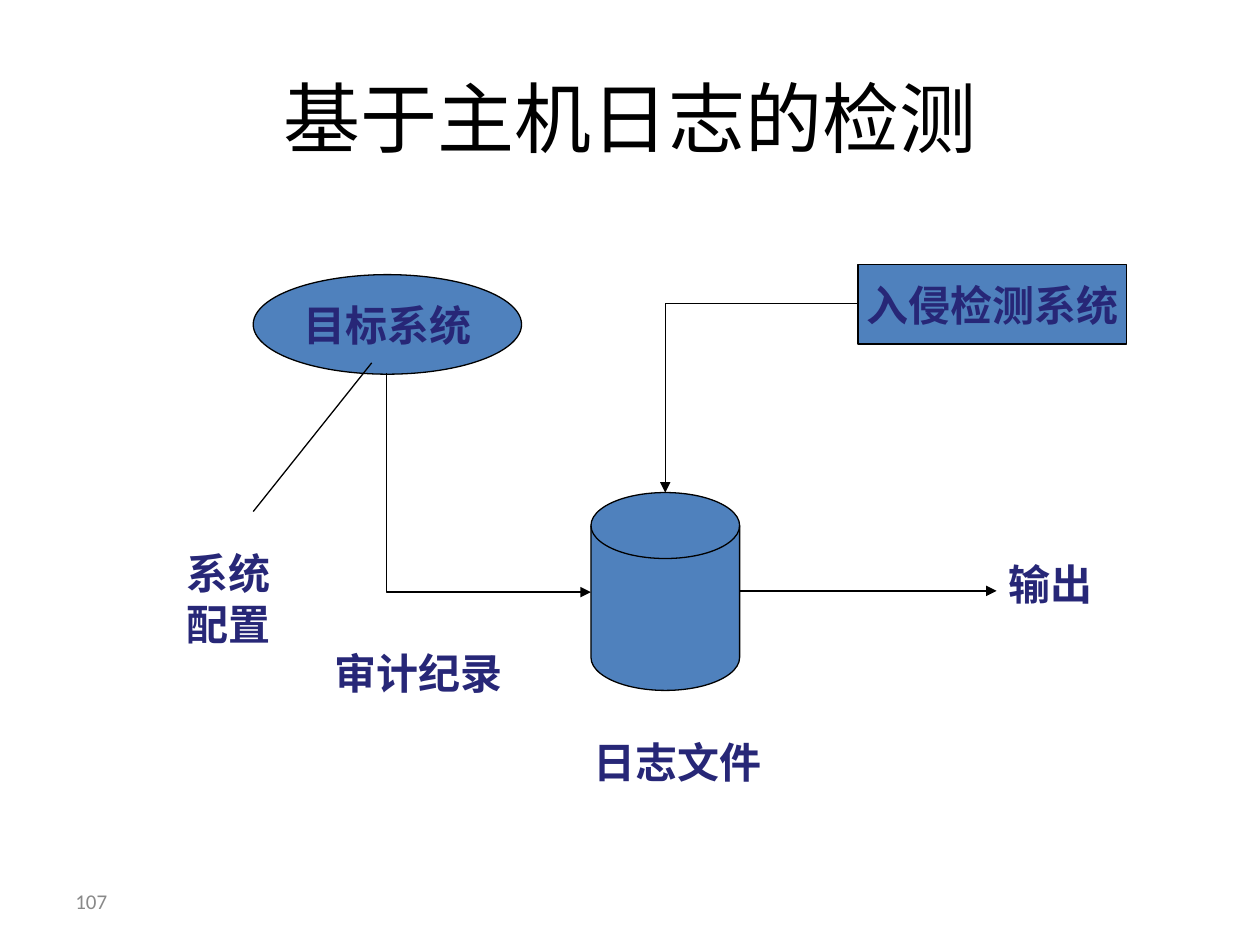
from lxml import etree
from pptx import Presentation
from pptx.dml.color import RGBColor
from pptx.enum.shapes import MSO_CONNECTOR, MSO_SHAPE
from pptx.enum.text import MSO_ANCHOR, MSO_AUTO_SIZE, PP_ALIGN
from pptx.oxml.ns import qn
from pptx.util import Inches, Pt

ELLIPSE, RECTANGLE = MSO_SHAPE.OVAL, MSO_SHAPE.RECTANGLE
DISK = MSO_SHAPE.FLOWCHART_MAGNETIC_DISK
STRAIGHT, ELBOW = MSO_CONNECTOR.STRAIGHT, MSO_CONNECTOR.ELBOW
MIDDLE, TOP = MSO_ANCHOR.MIDDLE, MSO_ANCHOR.TOP
LEFT, CENTER = PP_ALIGN.LEFT, PP_ALIGN.CENTER
GROW = MSO_AUTO_SIZE.SHAPE_TO_FIT_TEXT
TITLE_ONLY = 5


def color(hex_string):
    return RGBColor.from_string(hex_string)


class DiagramSlide:
    """Holds the style and the slide being drawn."""

    heading_font, label_font = "Calibri", "Times New Roman"
    black, gray, navy, blue = "000000", "898989", "272777", "4F81BD"
    line_width = Pt(0.75)

    def __init__(self, deck):
        self.slide = deck.slides.add_slide(deck.slide_layouts[TITLE_ONLY])
        self.shapes = self.slide.shapes

    def set_text(self, shape, text, size, font, ink, bold=False,
                 align=LEFT, anchor=TOP, space_before=0):
        frame = shape.text_frame
        frame.text = text
        frame.vertical_anchor = anchor
        para = frame.paragraphs[0]
        para.alignment = align
        para.space_before = Pt(space_before)
        span = para.runs[0].font
        span.name, span.size, span.bold = font, Pt(size), bold
        span.color.rgb = color(ink)

    def title(self, text, left, top, width, height):
        box = self.shapes.title
        box.left, box.top = Inches(left), Inches(top)
        box.width, box.height = Inches(width), Inches(height)
        self.set_text(box, text, 44, self.heading_font, self.black,
                      align=CENTER, anchor=MIDDLE)

    def text_box(self, left, top, width, height):
        box = self.shapes.add_textbox(Inches(left), Inches(top),
                                      Inches(width), Inches(height))
        box.text_frame.word_wrap = True
        return box

    def page_number(self, text, *place):
        self.set_text(self.text_box(*place), text, 12, self.heading_font,
                      self.gray, anchor=MIDDLE)

    def label(self, text, *place):
        box = self.text_box(*place)
        box.text_frame.auto_size = GROW
        self.set_text(box, text, 24, self.label_font, self.navy, bold=True,
                      space_before=15)

    def node(self, kind, left, top, width, height, text=None):
        shape = self.shapes.add_shape(kind, Inches(left), Inches(top),
                                      Inches(width), Inches(height))
        shape.shadow.inherit = False
        shape.fill.solid()
        shape.fill.fore_color.rgb = color(self.blue)
        shape.line.color.rgb = color(self.black)
        shape.line.width = self.line_width
        if text:
            shape.text_frame.word_wrap = False
            self.set_text(shape, text, 24, self.label_font, self.navy,
                          bold=True, align=CENTER, anchor=MIDDLE,
                          space_before=6)

    def link(self, start, end, kind=STRAIGHT, arrow=None):
        """Join two points; arrow is headEnd (start), tailEnd (end) or None.

        An elbow runs across from its start, then turns once to its end.
        """
        connector = self.shapes.add_connector(
            kind, *(Inches(value) for value in start + end))
        connector.line.color.rgb = color(self.black)
        connector.line.width = self.line_width
        properties = connector.element.spPr
        if kind == ELBOW:
            properties.find(qn("a:prstGeom")).set("prst", "bentConnector2")
        if arrow:
            outline = properties.find(qn("a:ln"))
            etree.SubElement(outline, qn(f"a:{arrow}"), type="triangle")
        etree.SubElement(properties, qn("a:effectLst"))


def main():
    deck = Presentation()
    deck.slide_width, deck.slide_height = Inches(10), Inches(7.5)
    page = DiagramSlide(deck)

    page.page_number("107", 0.5, 6.95, 2.33, 0.4)
    page.title("基于主机日志的检测", 0.5, 0.3, 9, 1.25)

    page.node(ELLIPSE, 2.01, 2.18, 2.13, 0.79, "目标系统")
    page.node(DISK, 4.69, 3.91, 1.18, 1.57)
    page.node(RECTANGLE, 6.81, 2.1, 2.13, 0.63, "入侵检测系统")

    page.link((4.69, 4.7), (3.07, 2.96), ELBOW, "headEnd")
    page.link((6.81, 2.41), (5.28, 3.91), ELBOW, "tailEnd")
    page.link((5.87, 4.69), (7.91, 4.69), arrow="tailEnd")
    page.link((2.95, 2.88), (2.01, 4.06))

    page.label("审计纪录", 2.56, 5.09, 1.57, 0.5)
    page.label("系统配置", 1.38, 4.3, 1.1, 0.9)
    page.label("日志文件", 4.61, 5.8, 1.81, 0.5)
    page.label("输出", 7.91, 4.38, 1.1, 0.5)

    deck.save("out.pptx")


if __name__ == "__main__":
    main()
